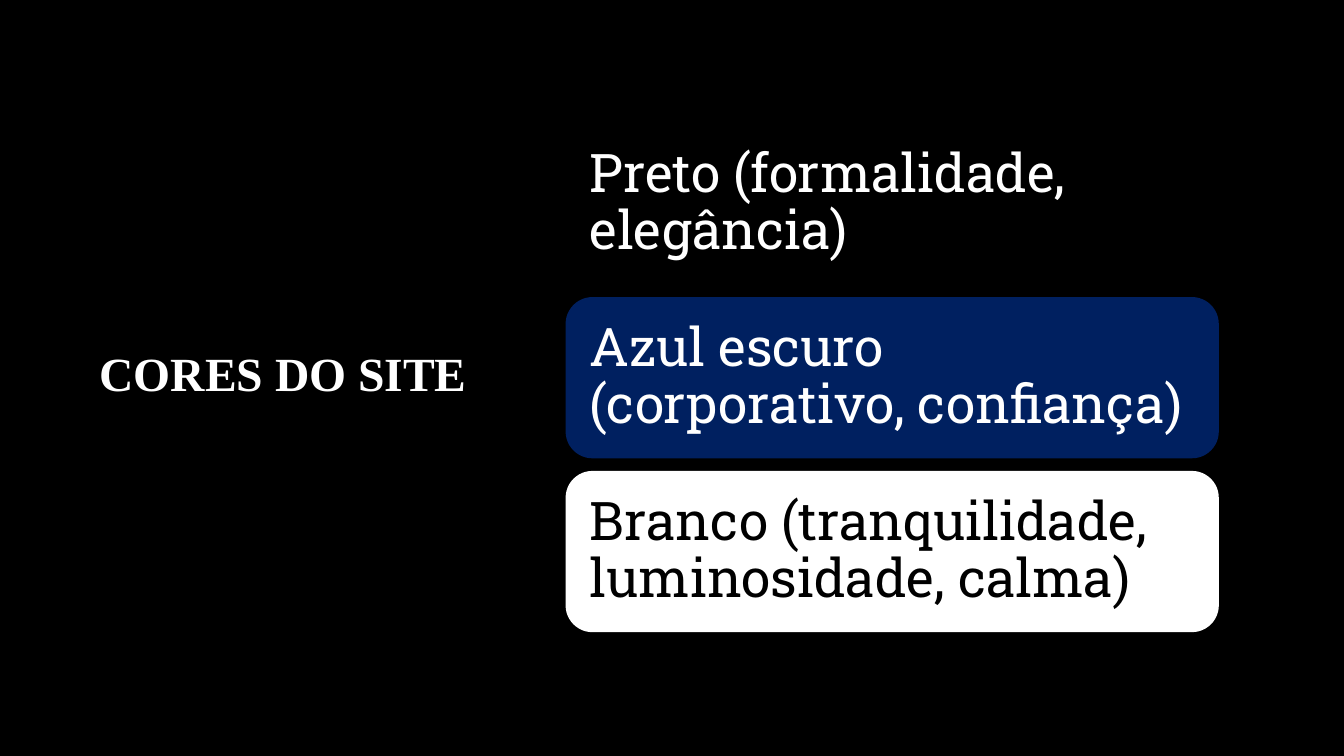
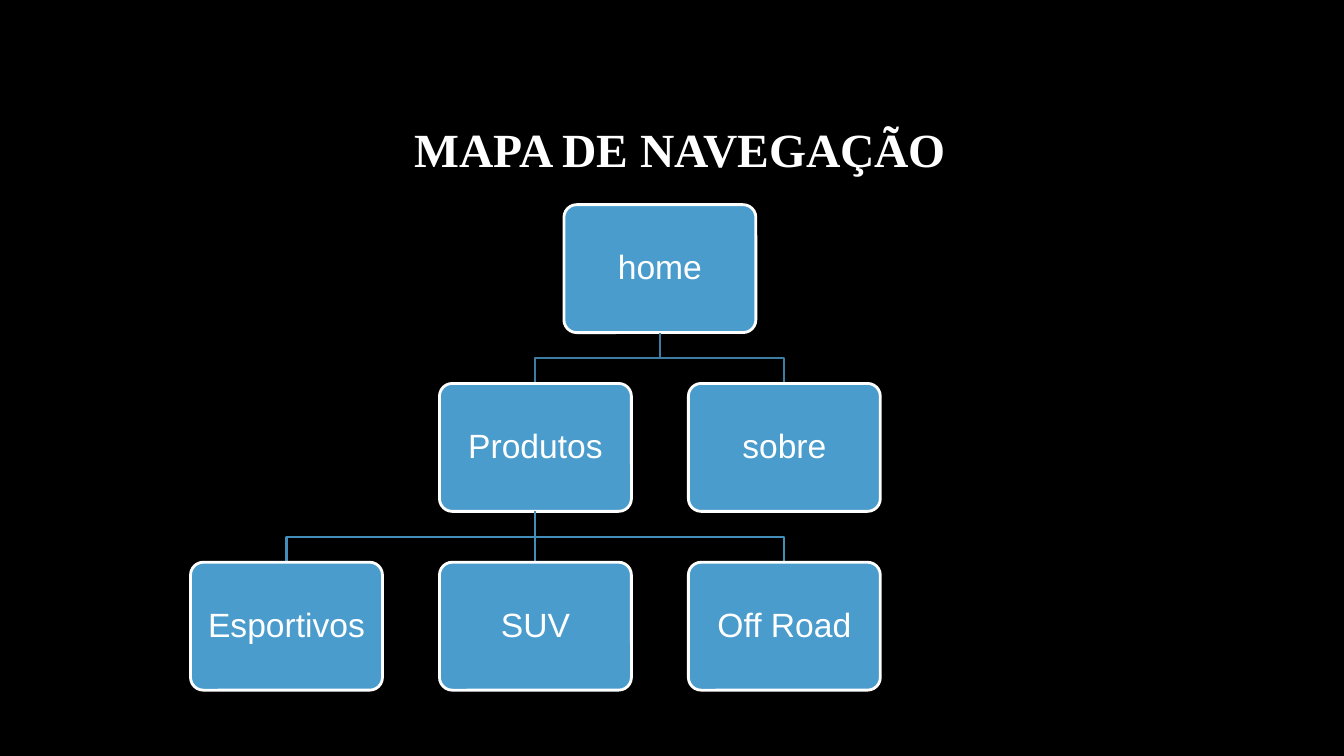
from pptx import Presentation
from pptx.dml.color import RGBColor
from pptx.enum.shapes import MSO_CONNECTOR, MSO_SHAPE
from pptx.enum.text import MSO_ANCHOR, PP_ALIGN
from pptx.oxml.ns import qn
from pptx.util import Pt
from lxml import etree

COLORS = {
    "black": "000000", "white": "FFFFFF", "navy": "002060",
    "node": "4A9CCC", "link1": "3B7DA3", "link2": "438EB9",
}

# Content: cards are (text, fill, font colour)
CARDS = [
    ("Preto (formalidade, elegância)", "black", "white"),
    ("Azul escuro (corporativo, confiança)", "navy", "white"),
    ("Branco (tranquilidade, luminosidade, calma)", "white", "black"),
]
# Site map: name -> (parent, column, level), parents before children
PAGES = {
    "home": (None, 1.5, 0),
    "Produtos": ("home", 1, 1),
    "Esportivos": ("Produtos", 0, 2),
    "SUV": ("Produtos", 1, 2),
    "Off Road": ("Produtos", 2, 2),
    "sobre": ("home", 2, 1),
}

# Geometry in points
CARD_X, CARD_Y, CARD_W, CARD_H, CARD_STEP = 404, 88, 466.6, 115.2, 124.2
MAP_X, MAP_Y, NODE_W, NODE_H = 136.1, 146.2, 137.1, 91.4
COL_STEP, ROW_STEP = 177.8, 127.7


def color(name):
    return RGBColor.from_string(COLORS[name])


def write(shape, text, font, size, ink, align, inset=None, bold=False):
    frame = shape.text_frame
    frame.word_wrap = True
    frame.vertical_anchor = MSO_ANCHOR.MIDDLE
    if inset is not None:
        frame.margin_left = frame.margin_right = Pt(inset)
        frame.margin_top = frame.margin_bottom = Pt(inset)
    para = frame.paragraphs[0]
    para.text = text
    para.alignment = align
    para.line_spacing = 0.9
    para.font.name = font
    para.font.size = Pt(size)
    para.font.bold = bold
    para.font.color.rgb = color(ink)


def new_slide(deck, title, box):
    slide = deck.slides.add_slide(deck.slide_layouts[6])
    slide.background.fill.solid()
    slide.background.fill.fore_color.rgb = color("black")
    head = slide.shapes.add_textbox(*map(Pt, box))
    write(head, title, "Times New Roman", 34, "white", PP_ALIGN.CENTER, bold=True)
    return slide


def round_box(slide, box, fill, edge=None):
    shape = slide.shapes.add_shape(MSO_SHAPE.ROUNDED_RECTANGLE, *map(Pt, box))
    shape.shadow.inherit = False
    shape.fill.solid()
    shape.fill.fore_color.rgb = color(fill)
    if edge:
        shape.line.color.rgb = color(edge)
        shape.line.width = Pt(2)
    else:
        shape.line.fill.background()
    return shape


def spot(name):
    _, col, row = PAGES[name]
    return MAP_X + col * COL_STEP, MAP_Y + row * ROW_STEP


def add_link(slide, parent, child):
    """Join the foot of the parent to the top of the child."""
    (px, py), (cx, cy) = spot(parent), spot(child)
    x1, y1, x2, y2 = map(Pt, (px + NODE_W / 2, py + NODE_H, cx + NODE_W / 2, cy))
    if x1 == x2:
        link = slide.shapes.add_connector(MSO_CONNECTOR.STRAIGHT, x1, y1, x2, y2)
        etree.SubElement(link._element.spPr, qn("a:effectLst"))
    else:
        mid = (y1 + y2) // 2
        pen = slide.shapes.build_freeform(x1, y1)
        pen.add_line_segments([(x1, mid), (x2, mid), (x2, y2)], close=False)
        link = pen.convert_to_shape()
        link.shadow.inherit = False
        link.fill.background()
    link.line.color.rgb = color(f"link{PAGES[child][2]}")
    link.line.width = Pt(1.5)


def colors_slide(deck):
    slide = new_slide(deck, "CORES DO SITE", (59, 48.2, 286.6, 441.4))
    for i, (text, fill, ink) in enumerate(CARDS):
        box = CARD_X, CARD_Y + i * CARD_STEP, CARD_W, CARD_H
        card = round_box(slide, box, fill)
        write(card, text, "Roboto Slab", 38, ink, PP_ALIGN.LEFT, 11.5)


def map_slide(deck):
    slide = new_slide(deck, "MAPA DE NAVEGAÇÃO", (172.8, 56.2, 626.4, 104.4))
    for name, (parent, _, _) in PAGES.items():
        if parent:
            add_link(slide, parent, name)
        node = round_box(slide, (*spot(name), NODE_W, NODE_H), "node", "white")
        node.adjustments[0] = 0.1
        write(node, name, "Arial", 24, "white", PP_ALIGN.CENTER, 7.2)


def main():
    deck = Presentation()
    deck.slide_width, deck.slide_height = Pt(960), Pt(540)
    colors_slide(deck)
    map_slide(deck)
    deck.save("out.pptx")


if __name__ == "__main__":
    main()
